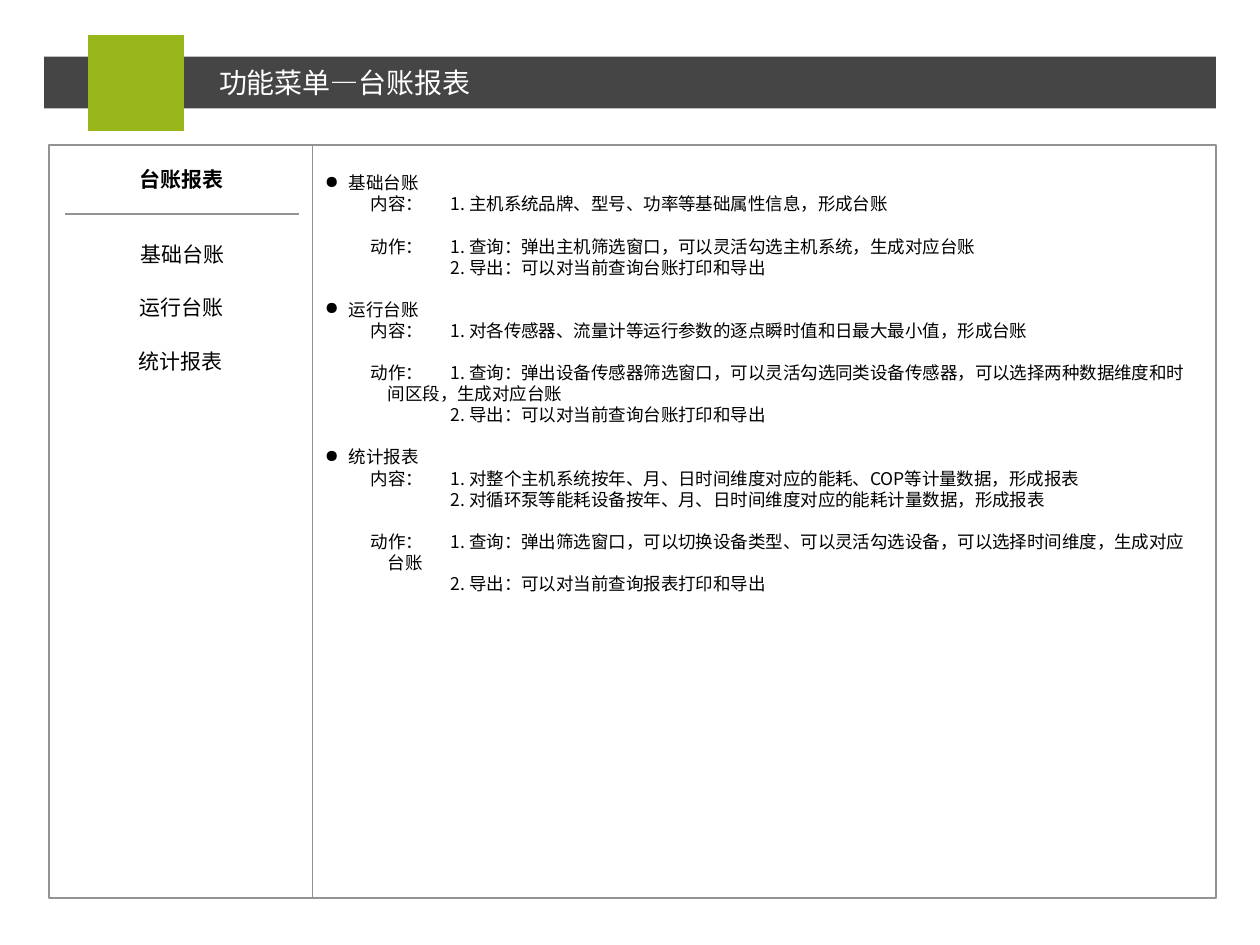
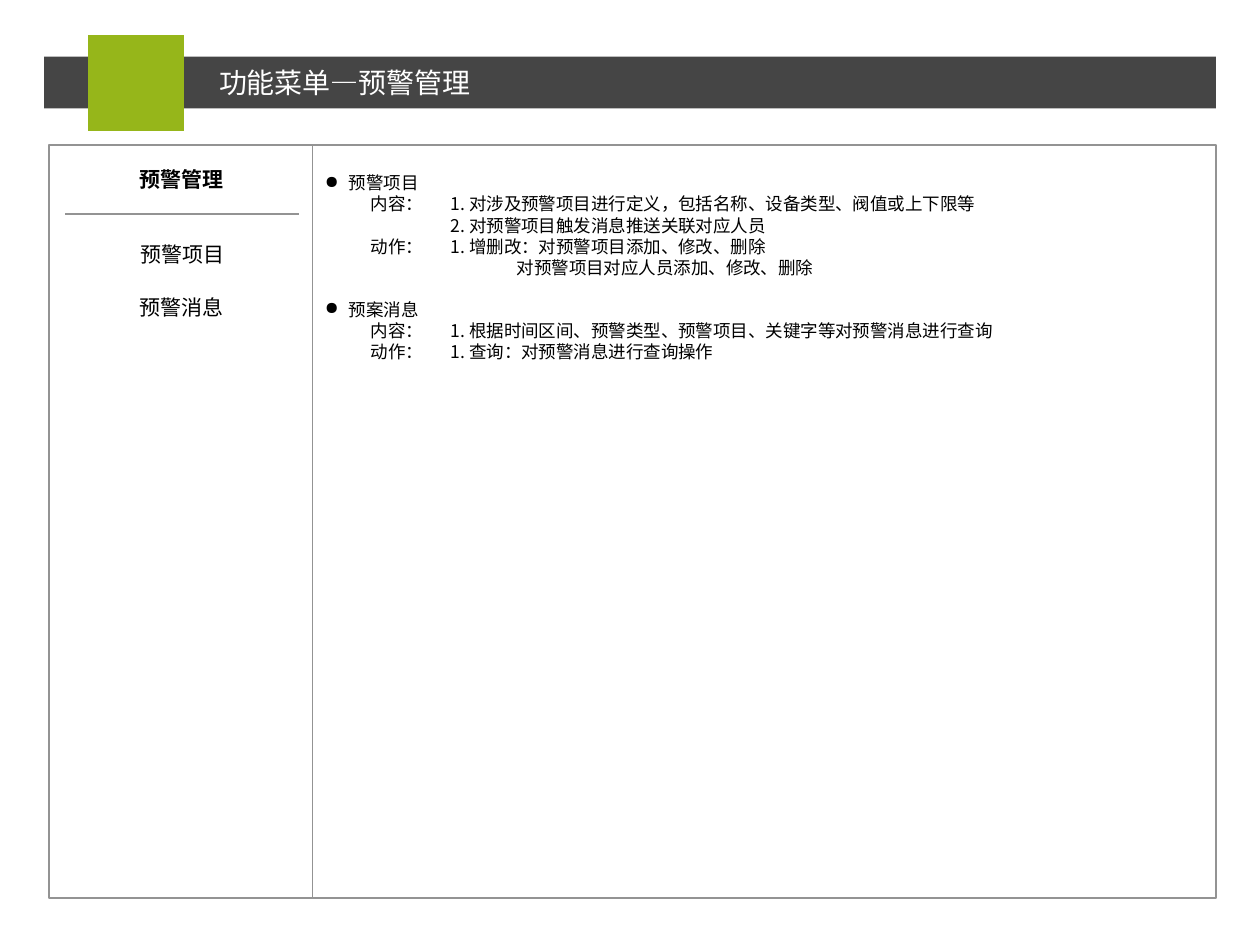
import lxml.etree
import pptx
import pptx.dml.color
import pptx.enum.shapes
import pptx.enum.text
import pptx.oxml.ns
import pptx.util

Pt = pptx.util.Pt
COLORS = {"band": "454545", "accent": "96B61A", "border": "939393",
          "white": "FFFFFF", "black": "000000"}
FONT = "Noto Sans CJK SC"
LINE_PITCH = 12.04
DETAIL_STYLES = {
    "topic": {"margin": 13.7, "indent": -13.7, "bullet": "●", "gap": True},
    "label": {"indent": 26.2, "tabs": (6.3, 62.8)},
    "spaced label": {"indent": 26.2, "tabs": (6.3, 62.8), "gap": True},
    "item": {"margin": 72},
    "note": {"margin": 109.7},
}
PAGES = [
    ("台账报表", ["基础台账", "运行台账", "统计报表"], [
        ("topic", "基础台账"),
        ("label", "内容：\t1. 主机系统品牌、型号、功率等基础属性信息，形成台账"),
        ("spaced label", "动作：\t1. 查询：弹出主机筛选窗口，可以灵活勾选主机系统，生成对应台账"),
        ("item", "2. 导出：可以对当前查询台账打印和导出"),
        ("topic", "运行台账"),
        ("label", "内容：\t1. 对各传感器、流量计等运行参数的逐点瞬时值和日最大最小值，形成台账"),
        ("spaced label", "动作：\t1. 查询：弹出设备传感器筛选窗口，可以灵活勾选同类设备传感器，"
                         "可以选择两种数据维度和时\v\t间区段，生成对应台账"),
        ("item", "2. 导出：可以对当前查询台账打印和导出"),
        ("topic", "统计报表"),
        ("label", "内容：\t1. 对整个主机系统按年、月、日时间维度对应的能耗、COP等计量数据，形成报表"),
        ("item", "2. 对循环泵等能耗设备按年、月、日时间维度对应的能耗计量数据，形成报表"),
        ("spaced label", "动作：\t1. 查询：弹出筛选窗口，可以切换设备类型、可以灵活勾选设备，"
                         "可以选择时间维度，生成对应\v\t台账"),
        ("item", "2. 导出：可以对当前查询报表打印和导出"),
    ]),
    ("预警管理", ["预警项目", "预警消息"], [
        ("topic", "预警项目"),
        ("label", "内容：\t1. 对涉及预警项目进行定义，包括名称、设备类型、阀值或上下限等"),
        ("item", "2. 对预警项目触发消息推送关联对应人员"),
        ("label", "动作：\t1. 增删改：对预警项目添加、修改、删除"),
        ("note", "对预警项目对应人员添加、修改、删除"),
        ("topic", "预案消息"),
        ("label", "内容：\t1. 根据时间区间、预警类型、预警项目、关键字等对预警消息进行查询"),
        ("label", "动作：\t1. 查询：对预警消息进行查询操作"),
    ]),
]


def color(name):
    return pptx.dml.color.RGBColor.from_string(COLORS[name])


def add_element(parent, tag, **attributes):
    return lxml.etree.SubElement(parent, pptx.oxml.ns.qn(tag), attributes)


class Deck:
    def __init__(self):
        self.presentation = pptx.Presentation()
        self.presentation.slide_width = Pt(720)
        self.presentation.slide_height = Pt(540)
        self.slide = None

    def add_slide(self):
        self.slide = self.presentation.slides.add_slide(self.presentation.slide_layouts[6])

    def rectangle(self, left, top, width, height, fill=None, line=None):
        shape = self.slide.shapes.add_shape(
            pptx.enum.shapes.MSO_SHAPE.RECTANGLE, Pt(left), Pt(top), Pt(width), Pt(height))
        shape.shadow.inherit = False
        if fill:
            shape.fill.solid()
            shape.fill.fore_color.rgb = color(fill)
        else:
            shape.fill.background()
        if line:
            shape.line.color.rgb = color(line)
            shape.line.width = Pt(1)
        else:
            shape.line.fill.background()
        return shape

    def line(self, left, right, y):
        connector = self.slide.shapes.add_connector(
            pptx.enum.shapes.MSO_CONNECTOR.STRAIGHT, Pt(left), Pt(y), Pt(right), Pt(y))
        connector.line.color.rgb = color("border")
        connector.line.width = Pt(1)
        add_element(connector._element.spPr, "a:effectLst")

    def frame(self, shape, top_inset=0, anchor=pptx.enum.text.MSO_ANCHOR.MIDDLE):
        text_frame = shape.text_frame
        values = {"word_wrap": True, "margin_left": Pt(7.2), "margin_right": Pt(7.2),
                  "margin_top": Pt(top_inset), "margin_bottom": Pt(0),
                  "vertical_anchor": anchor}
        for name, value in values.items():
            setattr(text_frame, name, value)
        return text_frame

    def fill_paragraph(self, paragraph, text, size, text_color="black", bold=False,
                       align=pptx.enum.text.PP_ALIGN.LEFT):
        paragraph.text = text
        paragraph.alignment = align
        for run in paragraph.runs:
            for name, value in {"name": FONT, "size": Pt(size), "bold": bold}.items():
                setattr(run.font, name, value)
            run.font.color.rgb = color(text_color)
            add_element(run._r.get_or_add_rPr(), "a:ea", typeface=FONT)
        for line_break in paragraph._p.findall(pptx.oxml.ns.qn("a:br")):
            add_element(line_break, "a:rPr", sz=str(size * 100))

    def title(self, text):
        self.rectangle(25.2, 32.4, 669.6, 29.52, fill="band")
        self.rectangle(50.4, 20.16, 54.72, 54.72, fill="accent")
        box = self.slide.shapes.add_textbox(Pt(118.08), Pt(36.72), Pt(495.36), Pt(20.88))
        self.fill_paragraph(self.frame(box).paragraphs[0], text, 16, "white")

    def menu_entry(self, text, left, top, bold=False):
        shape = self.rectangle(left, top, 132.48, 28.08, fill="white")
        self.fill_paragraph(self.frame(shape).paragraphs[0], text, 12, bold=bold,
                            align=pptx.enum.text.PP_ALIGN.CENTER)

    def menu(self, heading, entries):
        self.menu_entry(heading, 37.44, 88.56, bold=True)
        self.line(37.44, 170.64, 122.4)
        for index, entry in enumerate(entries):
            self.menu_entry(entry, 38.16 - 0.72 * index, 131.04 + 30.6 * index)

    def details(self, shape, entries):
        text_frame = self.frame(shape, 3.6 + LINE_PITCH, pptx.enum.text.MSO_ANCHOR.TOP)
        for index, (kind, text) in enumerate(entries):
            paragraph = text_frame.paragraphs[0] if index == 0 else text_frame.add_paragraph()
            style = DETAIL_STYLES[kind]
            properties = paragraph._p.get_or_add_pPr()
            properties.set("marL", str(Pt(style.get("margin", 0))))
            properties.set("indent", str(Pt(style.get("indent", 0))))
            if "bullet" in style:
                add_element(properties, "a:buChar", char=style["bullet"])
            if "tabs" in style:
                tab_list = add_element(properties, "a:tabLst")
                for position in style["tabs"]:
                    add_element(tab_list, "a:tab", pos=str(Pt(position)), algn="l")
            paragraph.line_spacing = Pt(LINE_PITCH)
            if index and style.get("gap"):
                paragraph.space_before = Pt(LINE_PITCH)
            self.fill_paragraph(paragraph, text, 10)

    def page(self, name, menu_entries, detail_entries):
        self.add_slide()
        self.title(f"功能菜单—{name}")
        self.rectangle(28.08, 82.8, 150.48, 430.56, line="border")
        panel = self.rectangle(178.56, 82.8, 516.24, 430.56, line="border")
        self.details(panel, detail_entries)
        self.menu(name, menu_entries)


def main():
    deck = Deck()
    for page in PAGES:
        deck.page(*page)
    deck.presentation.save("out.pptx")


if __name__ == "__main__":
    main()
